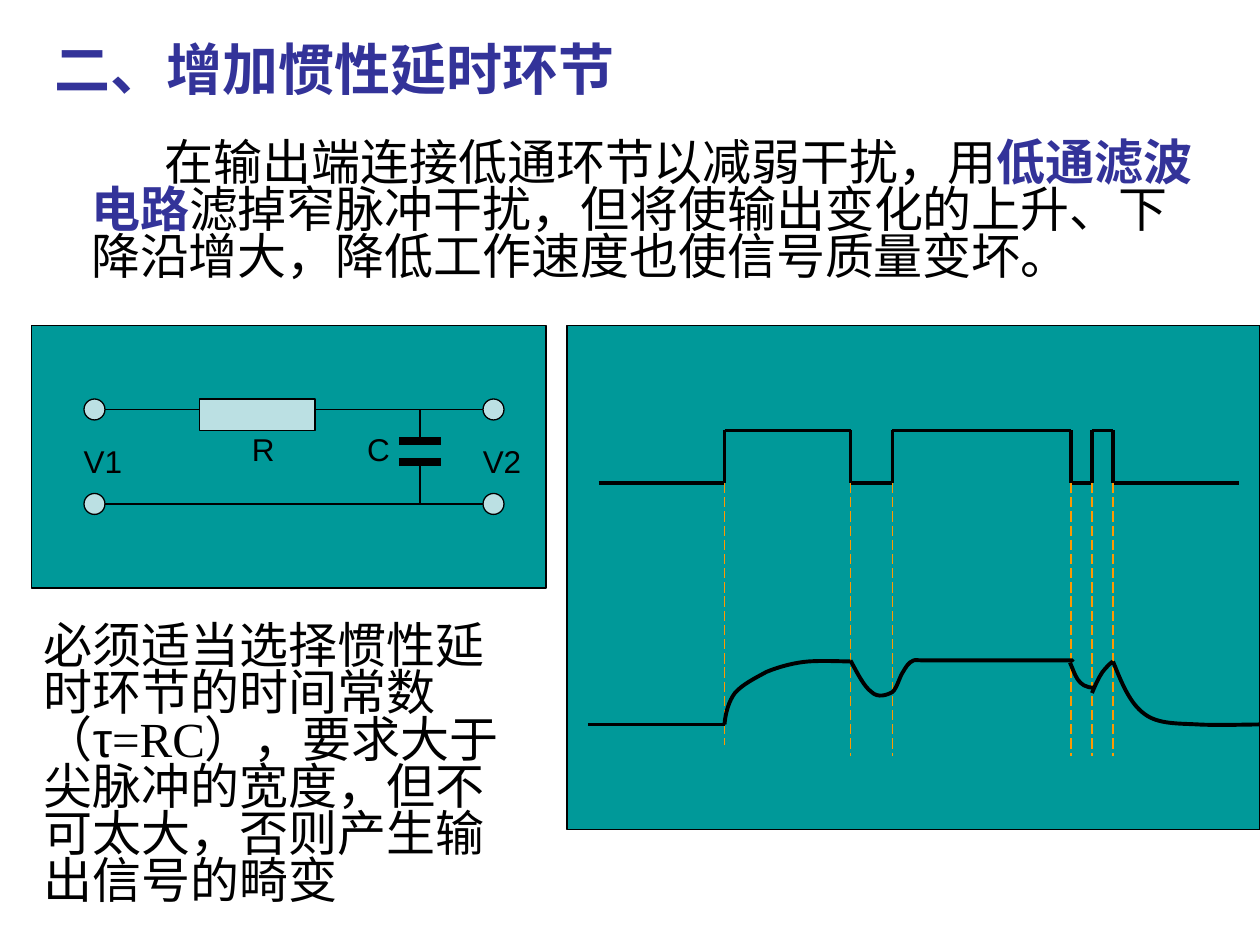
import pptx
import pptx.dml.color
import pptx.enum.dml
import pptx.enum.shapes
import pptx.enum.text
import pptx.oxml.ns
import pptx.util
from lxml import etree

COLORS = {"ink": "000000", "accent": "333399", "panel": "009999",
          "part": "BBE0E3", "guide": "FF9900"}
SHAPE = pptx.enum.shapes.MSO_SHAPE
ANCHOR = pptx.enum.text.MSO_ANCHOR
tag = pptx.oxml.ns.qn


def color(name):
    return pptx.dml.color.RGBColor.from_string(COLORS[name])


def grid(*values):
    """Grid units, twelve to the inch: 120 columns by 90 rows."""
    return [pptx.util.Inches(value / 12) for value in values]


class SlideBuilder:
    thin, wave, plate = 0.75, 2.25, 4.5

    def __init__(self, page):
        self.page = page
        self.shapes = page.shapes

    def group(self):
        self.shapes = self.page.shapes.add_group_shape().shapes

    def ungroup(self):
        self.shapes = self.page.shapes

    def outline(self, line, name="ink", width=thin):
        line.color.rgb = color(name)
        line.width = pptx.util.Pt(width)

    def shape(self, kind, fill, *place):
        shape = self.shapes.add_shape(kind, *grid(*place))
        shape.shadow.inherit = False
        shape.fill.solid()
        shape.fill.fore_color.rgb = color(fill)
        self.outline(shape.line)

    def line(self, start, end, width=thin, name="ink", dashed=False):
        line = self.shapes.add_connector(pptx.enum.shapes.MSO_CONNECTOR.STRAIGHT,
                                         *grid(*start, *end))
        etree.SubElement(line._element.spPr, tag("a:effectLst"))
        self.outline(line.line, name, width)
        if dashed:
            line.line.dash_style = pptx.enum.dml.MSO_LINE.LONG_DASH

    def curve(self, start, *segments):
        """Each segment is (first control, second control, end)."""
        builder = self.shapes.build_freeform(*grid(*start))
        builder.add_line_segments([grid(*segment[-1]) for segment in segments], close=False)
        shape = builder.convert_to_shape()
        # Bend each straight segment into a cubic curve
        for segment, step in zip(segments, list(shape._element.iter(tag("a:lnTo")))):
            bend = etree.Element(tag("a:cubicBezTo"))
            for point in segment:
                x, y = grid(*point)
                etree.SubElement(bend, tag("a:pt"), x=str(x - shape.left), y=str(y - shape.top))
            step.getparent().replace(step, bend)
        shape.shadow.inherit = False
        shape.fill.background()
        self.outline(shape.line, width=self.wave)

    def text(self, place, spans, size, wrap=True, grow=False,
             anchor=ANCHOR.TOP, spacing=None, indent=None):
        """Each span is (text, font, colour, bold)."""
        box = self.shapes.add_textbox(*grid(*place))
        frame = box.text_frame
        frame.word_wrap = wrap
        frame.vertical_anchor = anchor
        if grow:
            frame.auto_size = pptx.enum.text.MSO_AUTO_SIZE.SHAPE_TO_FIT_TEXT
        para = frame.paragraphs[0]
        if spacing:
            para.line_spacing = spacing
        if indent:
            left, first = grid(*indent)
            properties = para._p.get_or_add_pPr()
            properties.set("marL", str(left))
            properties.set("indent", str(first))
        for words, font, name, bold in spans:
            span = para.add_run()
            span.text = words
            span.font.name = font
            span.font.size = pptx.util.Pt(size)
            span.font.bold = bold
            span.font.color.rgb = color(name)


def draw_circuit(builder):
    builder.group()
    builder.shape(SHAPE.RECTANGLE, "panel", 3, 31, 49, 25)
    builder.shape(SHAPE.RECTANGLE, "part", 19, 38, 11, 3)

    # Wires and capacitor
    top, bottom, branch = 39, 48, 40
    plates = (42, 44)
    for start, end in (((9, top), (19, top)), ((9, bottom), (46, bottom)),
                       ((30, top), (46, top)), ((branch, top), (branch, plates[0])),
                       ((branch, plates[1]), (branch, bottom))):
        builder.line(start, end)
    for row in plates:
        builder.line((branch - 2, row), (branch + 2, row), builder.plate)

    # Terminals
    for column in (8, 46):
        for row in (top, bottom):
            builder.shape(SHAPE.OVAL, "part", column, row - 1, 2, 2)

    # Labels
    for label, column, row, width in (("V1", 6.8, 41.5, 6.2), ("V2", 44.8, 41.5, 6.2),
                                      ("R", 22.8, 40.4, 4.6), ("C", 33.8, 40.4, 4.6)):
        builder.text((column, row, width, 4.8), [(label, "Arial", "ink", False)],
                     18, wrap=False, grow=True)
    builder.ungroup()


def draw_waveforms(builder):
    builder.group()
    builder.shape(SHAPE.RECTANGLE, "panel", 54, 31, 66, 48)

    # Input pulses: the level flips at every edge
    edges = (69, 81, 85, 102, 104, 106)
    low, high = 46, 41
    stops = (57, *edges, 118)
    for index, (left, right) in enumerate(zip(stops, stops[1:])):
        row = high if index % 2 else low
        builder.line((left, row), (right, row), builder.wave)
    for edge in edges:
        builder.line((edge, high), (edge, low), builder.wave)

    # Guides from each edge down to the output
    for edge in edges:
        builder.line((edge, low), (edge, 71 if edge == edges[0] else 72),
                     name="guide", dashed=True)

    # Filtered output
    builder.line((56, 69), (69, 69), builder.wave)
    builder.curve((69, 69),
                  ((69.1, 67.9), (69.4, 66.8), (70, 66)),
                  ((70.7, 65.2), (71.9, 64.6), (73, 64)),
                  ((74.2, 63.5), (75.7, 63.1), (77, 63)),
                  ((78.4, 62.9), (80.3, 63), (81, 63)))
    builder.curve((81, 62.9),
                  ((81.7, 64.2), (82.3, 65.4), (83, 65.9)),
                  ((83.6, 66.5), (84.5, 66.2), (85, 65.9)),
                  ((85.4, 65.6), (85.7, 64.4), (86, 64)),
                  ((86.3, 63.5), (86.5, 63.1), (87, 62.9)),
                  ((87.5, 62.8), (86.5, 62.9), (89, 62.9)),
                  ((91.5, 62.9), (100.7, 62.9), (102, 62.9)),
                  ((103.3, 62.9), (97.2, 62.9), (97, 62.9)),
                  ((96.8, 62.9), (98.9, 62.9), (101, 62.9)))
    builder.curve((101.9, 63.1), ((102.4, 64.2), (102.6, 65.5), (104.2, 65.5)))
    builder.curve((104, 66),
                  ((104.3, 65.3), (104.6, 64.6), (105, 64)),
                  ((105.4, 63.5), (105.8, 63.1), (106, 63)))
    builder.curve((106, 63),
                  ((106.8, 65), (107.6, 67), (109, 68)),
                  ((110.3, 69), (112.3, 68.9), (114.1, 69)),
                  ((115.9, 69.1), (119, 69), (120, 69)))
    builder.ungroup()


def main():
    deck = pptx.Presentation()
    deck.slide_width, deck.slide_height = grid(120, 90)
    builder = SlideBuilder(deck.slides.add_slide(deck.slide_layouts[6]))

    # Title and introduction
    builder.text((4, 3, 102, 7), [("二、增加惯性延时环节", "Arial", "accent", True)],
                 32, anchor=ANCHOR.MIDDLE)
    builder.text((3, 13, 113, 16), [
        ("在输出端连接低通环节以减弱干扰，用", "Arial", "ink", False),
        ("低通滤波电路", "Arial", "accent", True),
        ("滤掉窄脉冲干扰，但将使输出变化的上升、下降沿增大，降低工作速度也使信号质量变坏。",
         "Arial", "ink", False)], 28, spacing=0.8, indent=(4.5, 7))

    draw_circuit(builder)
    draw_waveforms(builder)

    # Choice of time constant
    builder.text((3, 59, 47, 28), [
        ("必须适当选择惯性延时环节的时间常数（", "Times New Roman", "ink", False),
        ("τ", "Arial", "ink", False),
        ("=RC），要求大于尖脉冲的宽度，但不可太大，否则产生输出信号的畸变",
         "Times New Roman", "ink", False)], 28, grow=True, spacing=0.8)

    deck.save("out.pptx")


if __name__ == "__main__":
    main()
